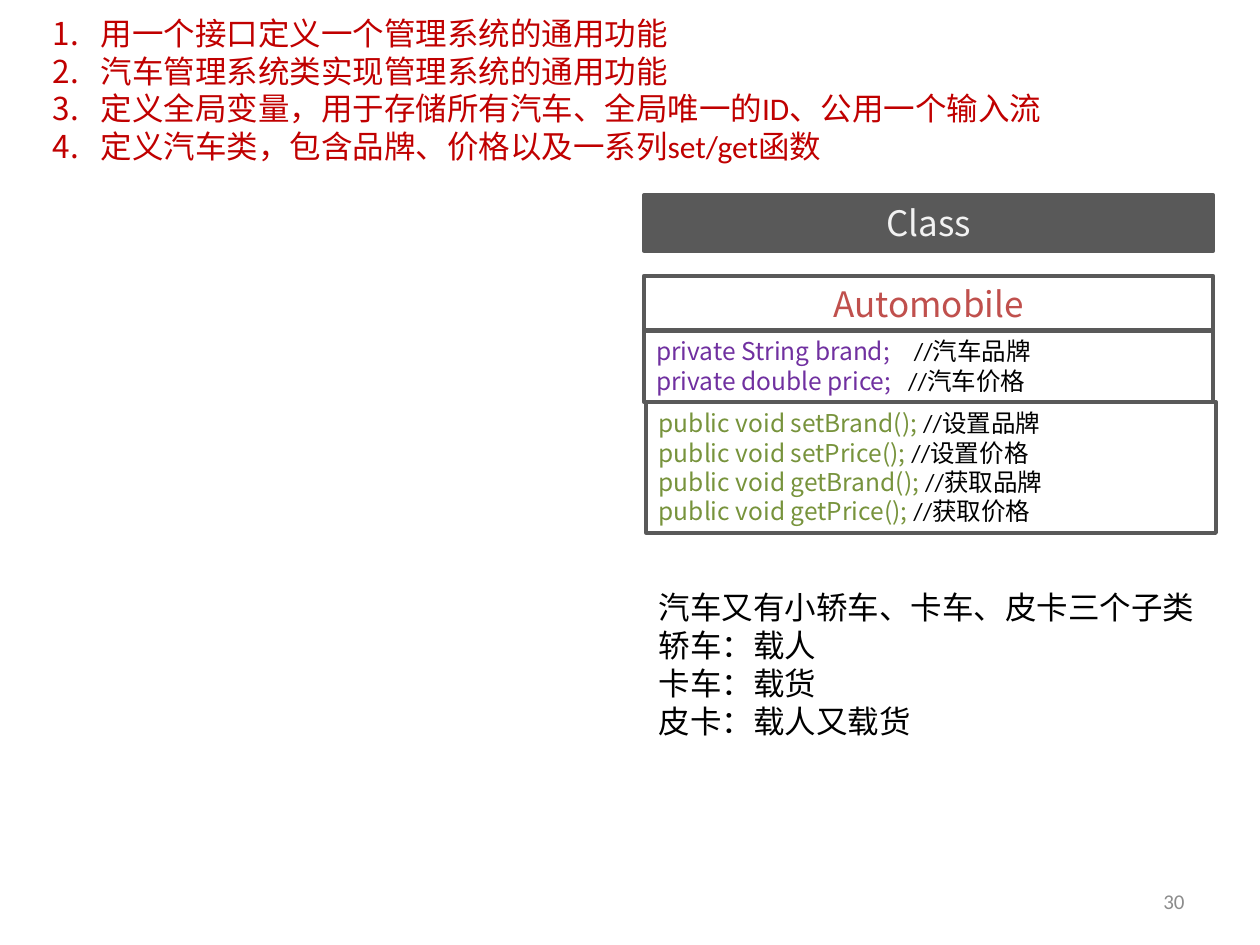
from lxml.etree import SubElement
from pptx import Presentation
from pptx.dml.color import RGBColor
from pptx.enum.shapes import MSO_SHAPE
from pptx.enum.text import MSO_ANCHOR, PP_ALIGN
from pptx.oxml.ns import qn
from pptx.util import Inches, Pt

COLORS = {
    "red": "C00000", "dark": "595959", "light": "F2F2F2", "title": "C0504D",
    "field": "7030A0", "method": "77933C", "black": "000000", "page": "8C8C8C",
}
BODY, CODE = "Calibri", "Noto Sans CJK SC"
LEFT, WIDTH = 5.11, 4.52


def rgb(name):
    return RGBColor.from_string(COLORS[name])


def number_paragraph(p):
    """Give a paragraph automatic numbering with a hanging indent."""
    pPr = p._p.get_or_add_pPr()
    pPr.set("marL", str(Inches(0.38)))
    pPr.set("indent", str(-Inches(0.38)))
    SubElement(pPr, qn("a:buFont"), typeface="+mj-lt")
    SubElement(pPr, qn("a:buAutoNum"), type="arabicPeriod")


def set_text(sp, lines, size=18, font=BODY, color="black", align=PP_ALIGN.LEFT,
             anchor=MSO_ANCHOR.TOP, numbered=False):
    """Each line is a string or a list of (text, font, color) runs."""
    tf = sp.text_frame
    tf.word_wrap = True
    tf.vertical_anchor = anchor
    for i, line in enumerate(lines):
        p = tf.add_paragraph() if i else tf.paragraphs[0]
        p.alignment = align
        p.line_spacing = Pt(size * 1.2)
        if numbered:
            number_paragraph(p)
        runs = [(line, font, color)] if isinstance(line, str) else line
        for text, name, tint in runs:
            r = p.add_run()
            r.text = text
            r.font.size = Pt(size)
            r.font.name = name
            r.font.color.rgb = rgb(tint)
            SubElement(r._r.get_or_add_rPr(), qn("a:ea"), typeface=CODE)


def add_text(s, x, y, w, h, lines, **fmt):
    box = s.shapes.add_textbox(Inches(x), Inches(y), Inches(w), Inches(h))
    set_text(box, lines, **fmt)


def add_box(s, x, y, h, lines, fill=None, **fmt):
    sp = s.shapes.add_shape(MSO_SHAPE.RECTANGLE, Inches(x), Inches(y),
                            Inches(WIDTH), Inches(h))
    sp.shadow.inherit = False
    if fill:
        sp.fill.solid()
        sp.fill.fore_color.rgb = rgb(fill)
    else:
        sp.fill.background()
    sp.line.color.rgb = rgb("dark")
    sp.line.width = Pt(2.25)
    set_text(sp, lines, **fmt)


def commented(code, comment, color):
    return [(code, CODE, color), (comment, BODY, "black")]


def main():
    prs = Presentation()
    prs.slide_width, prs.slide_height = Inches(10), Inches(7.5)
    s = prs.slides.add_slide(prs.slide_layouts[6])

    # Page number
    add_text(s, 7.17, 6.95, 2.33, 0.4, ["30"], size=12, color="page",
             align=PP_ALIGN.RIGHT, anchor=MSO_ANCHOR.MIDDLE)

    # Requirements
    add_text(s, 0.32, 0.06, 9.02, 1.31, [
        "用一个接口定义一个管理系统的通用功能",
        "汽车管理系统类实现管理系统的通用功能",
        "定义全局变量，用于存储所有汽车、全局唯一的ID、公用一个输入流",
        "定义汽车类，包含品牌、价格以及一系列set/get函数",
    ], color="red", numbered=True)

    # Class diagram: header, name, fields, methods
    heading = dict(size=20, font=CODE, align=PP_ALIGN.CENTER)
    add_box(s, LEFT, 1.55, 0.44, ["Class"], fill="dark", color="light", **heading)
    add_box(s, LEFT, 2.19, 0.44, ["Automobile"], color="title", **heading)
    add_box(s, LEFT, 2.62, 0.57, [
        commented("private String brand;\t", " //汽车品牌", "field"),
        commented("private double price;\t", "//汽车价格", "field"),
    ], size=14)
    methods = [("setBrand", "设置品牌"), ("setPrice", "设置价格"),
               ("getBrand", "获取品牌"), ("getPrice", "获取价格")]
    add_box(s, LEFT + 0.02, 3.19, 1.04, [
        commented(f"public void {name}(); ", f"//{note}", "method")
        for name, note in methods
    ], size=14)

    # Subclasses
    add_text(s, LEFT + 0.02, 4.62, WIDTH, 1.31, [
        "汽车又有小轿车、卡车、皮卡三个子类",
        "轿车：载人",
        "卡车：载货",
        "皮卡：载人又载货",
    ])

    prs.save("out.pptx")


if __name__ == "__main__":
    main()
